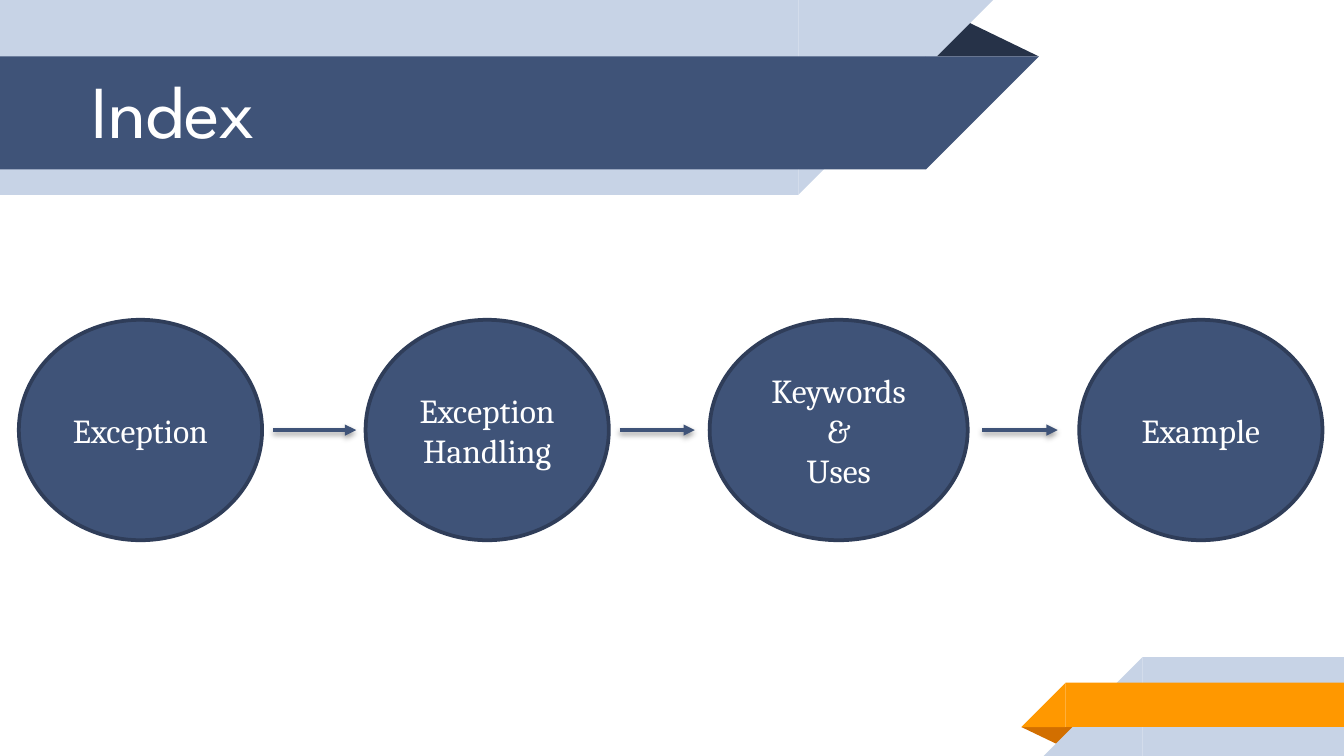
"""Build the Index slide: ribbons, a title and four linked topics."""
from pptx import Presentation
from pptx.dml.color import RGBColor
from pptx.enum.shapes import MSO_CONNECTOR, MSO_SHAPE
from pptx.enum.text import MSO_ANCHOR, MSO_AUTO_SIZE, PP_ALIGN
from pptx.oxml import parse_xml
from pptx.oxml.ns import nsdecls
from pptx.util import Inches, Pt

prs = Presentation()
prs.slide_width, prs.slide_height = Inches(10), Inches(5.625)
s = prs.slides.add_slide(prs.slide_layouts[6])
cell = prs.slide_width / 100
NAVY, PALE, ORANGE, WHITE = "3F5378", "C7D3E6", "FF9800", "FFFFFF"


def grid(*cells):
    return [round(n * cell) for n in cells]


def add_filled(kind, box, color, turn=0):
    sp = s.shapes.add_shape(kind, *grid(*box))
    sp.shadow.inherit = False
    sp.fill.solid()
    sp.fill.fore_color.rgb = RGBColor.from_string(color)
    sp.line.fill.background()
    sp.rotation = turn
    return sp


folds = {
    "bottom": ((76, 54.1, 4.3, 1.4), "D26F00", 180),
    "top": ((68.8, 1.4, 8.5, 2.8), "263248", 0),
}
bands = {
    "bottom": [(85, 48.9, 15, 7.35, PALE), (79.3, 50.8, 20.7, 3.3, ORANGE)],
    "top": [(0, 0, 59.4, 14.5, PALE), (0, 4.2, 68.9, 8.4, NAVY)],
}
for edge, (box, color, turn) in folds.items():
    fold = add_filled(MSO_SHAPE.ISOSCELES_TRIANGLE, box, color, turn)
    fold.adjustments[0] = 0.32
    for x, y, w, h, color in bands[edge]:
        add_filled(MSO_SHAPE.RECTANGLE, (x, y, w, h), color)
        tip_x, turn = (x + w, 90) if edge == "top" else (x - h, 270)
        add_filled(MSO_SHAPE.RIGHT_TRIANGLE, (tip_x, y, h, h), color, turn)

title = s.shapes.add_textbox(*grid(5.8, 4.3, 36, 7.7))
tf = title.text_frame
tf.word_wrap = True
tf.auto_size = MSO_AUTO_SIZE.SHAPE_TO_FIT_TEXT
p = tf.paragraphs[0]
p.text = "Index"
p.font.name, p.font.size = "League Spartan", Pt(40)
p.font.color.rgb = RGBColor.from_string(WHITE)

topics = [
    (1.4, 18.1, "Exception"),
    (27.2, 18.1, "Exception Handling"),
    (52.8, 19.2, "Keywords &\nUses"),
    (80.3, 18.1, "Example"),
]
for x, w, words in topics:
    sp = add_filled(MSO_SHAPE.FLOWCHART_CONNECTOR, (x, 23.8, w, 16.4), NAVY)
    sp.line.color.rgb = RGBColor.from_string("2F3D59")
    sp.line.width = Pt(2)
    tf = sp.text_frame
    tf.word_wrap = True
    tf.vertical_anchor = MSO_ANCHOR.MIDDLE
    tf.text = words
    for p in tf.paragraphs:
        p.alignment = PP_ALIGN.CENTER
        p.font.name, p.font.size = "Cambria", Pt(18)
        p.font.color.rgb = RGBColor.from_string(WHITE)

for start, end in [(20.3, 26.5), (46.1, 51.7), (73.1, 78.7)]:
    arrow = s.shapes.add_connector(MSO_CONNECTOR.STRAIGHT, *grid(start, 32, end, 32))
    arrow.line.color.rgb = RGBColor.from_string(NAVY)
    arrow.line.width = Pt(2)
    arrow.line._get_or_add_ln().append(
        parse_xml(f'<a:tailEnd {nsdecls("a")} type="triangle"/>'))
    arrow._element.spPr.append(parse_xml(
        f'<a:effectLst {nsdecls("a")}>'
        f'<a:outerShdw blurRad="{Pt(3.1)}" dist="{Pt(1.6)}" dir="5400000" rotWithShape="0">'
        '<a:srgbClr val="000000"><a:alpha val="38000"/></a:srgbClr>'
        '</a:outerShdw></a:effectLst>'))

prs.save("out.pptx")
